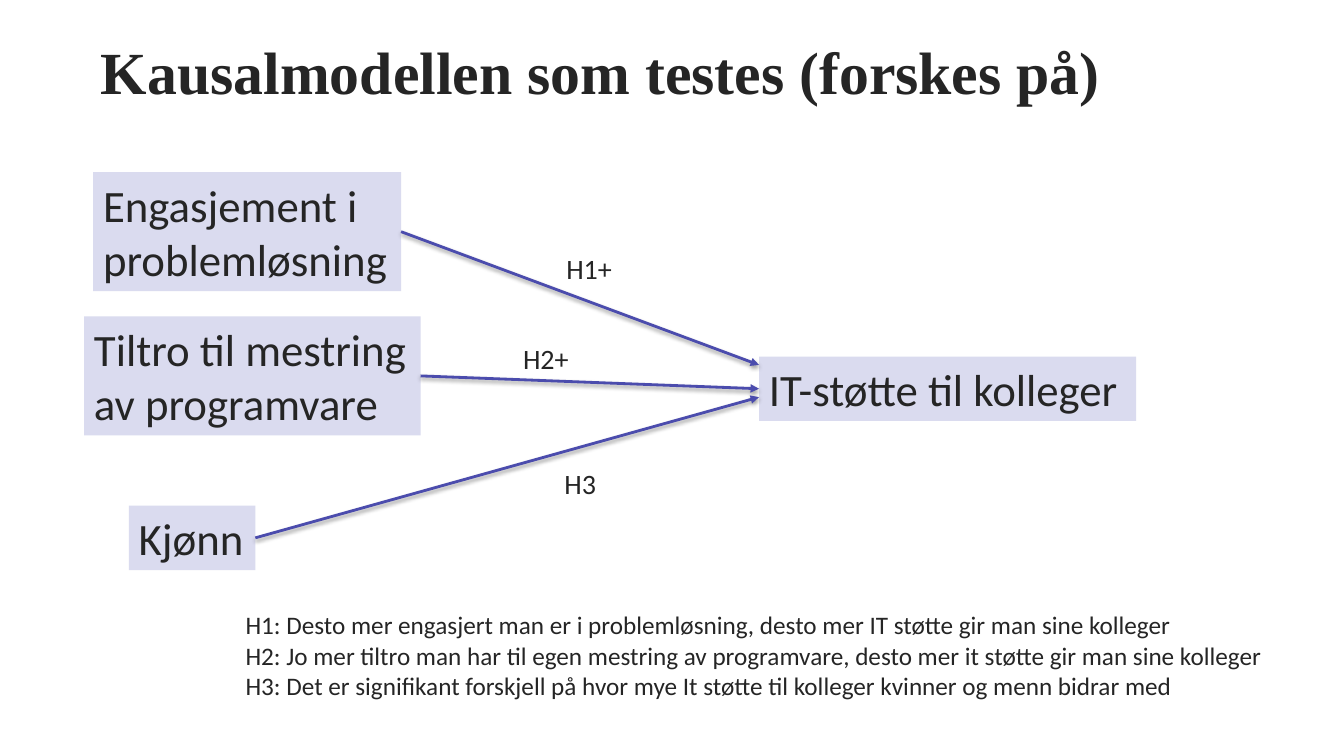
import pptx
import pptx.dml.color
import pptx.enum.shapes
import pptx.enum.text
import pptx.oxml
import pptx.oxml.ns
import pptx.util

Pt = pptx.util.Pt
COLOURS = {"box": "DADBEF", "arrow": "4B4CAD", "text": "252525", "shadow": "000000"}
LEFT_SIDE, RIGHT_SIDE = 1, 3


def colour(name):
    return pptx.dml.color.RGBColor.from_string(COLOURS[name])


def write(shape, text, size, font="Calibri", bold=False):
    frame = shape.text_frame
    frame.word_wrap = True
    frame.text = text
    for para in frame.paragraphs:
        para.alignment = pptx.enum.text.PP_ALIGN.LEFT
        for span in para.runs:
            span.font.name = font
            span.font.size = Pt(size)
            span.font.bold = bold
            span.font.color.rgb = colour("text")


def add_text(page, text, left, top, width, height, size, **style):
    box = page.shapes.add_textbox(Pt(left), Pt(top), Pt(width), Pt(height))
    write(box, text, size, **style)


def add_variable(page, text, left, top, width, height):
    box = page.shapes.add_shape(pptx.enum.shapes.MSO_SHAPE.RECTANGLE,
                                Pt(left), Pt(top), Pt(width), Pt(height))
    box.shadow.inherit = False
    box.fill.solid()
    box.fill.fore_color.rgb = colour("box")
    box.line.fill.background()
    box.text_frame.vertical_anchor = pptx.enum.text.MSO_ANCHOR.MIDDLE
    write(box, text, 32)
    return box


def add_arrow(page, cause, effect, offset):
    """Run from the cause's right side to the effect's left side, offset from its middle."""
    end_y = effect.top + effect.height // 2 + Pt(offset)
    arrow = page.shapes.add_connector(pptx.enum.shapes.MSO_CONNECTOR.STRAIGHT,
                                      cause.left + cause.width, cause.top + cause.height // 2,
                                      effect.left, end_y)
    arrow.begin_connect(cause, RIGHT_SIDE)
    if offset == 0:
        arrow.end_connect(effect, LEFT_SIDE)
    arrow.line.color.rgb = colour("arrow")
    arrow.line.width = Pt(2)

    # Arrowhead and soft shadow
    namespace = pptx.oxml.ns.nsdecls("a")
    arrow.line._get_or_add_ln().append(
        pptx.oxml.parse_xml(f'<a:tailEnd {namespace} type="triangle"/>'))
    arrow._element.spPr.append(pptx.oxml.parse_xml(
        f'<a:effectLst {namespace}><a:outerShdw blurRad="{Pt(3.1)}" dist="{Pt(1.6)}" '
        f'dir="5400000" rotWithShape="0"><a:srgbClr val="{COLOURS["shadow"]}">'
        '<a:alpha val="38000"/></a:srgbClr></a:outerShdw></a:effectLst>'))


def main():
    deck = pptx.Presentation()
    deck.slide_width, deck.slide_height = Pt(960), Pt(540)
    page = deck.slides.add_slide(deck.slide_layouts[6])

    # Title
    add_text(page, "Kausalmodellen som testes (forskes på)", 65, 21, 747, 59, 42.7,
             font="Times New Roman", bold=True)

    # Variables
    support = add_variable(page, "IT-støtte til kolleger", 542.2, 254.7, 269.3, 46)
    gender = add_variable(page, "Kjønn", 92, 361.2, 90.4, 46)
    mastery = add_variable(page, "Tiltro til mestring\nav programvare", 60, 226, 240.4, 85)
    engagement = add_variable(page, "Engasjement i\nproblemløsning", 66.5, 123, 220, 85)

    # Hypothesised effects, with their labels
    for cause, offset, label, left, top, width in (
            (engagement, -17, "H1+", 397.4, 176.4, 48),
            (mastery, 0, "H2+", 366.5, 240.5, 48),
            (gender, 6, "H3", 396, 329.8, 38)):
        add_arrow(page, cause, support, offset)
        add_text(page, label, left, top, width, 31.5, 20)

    # Hypotheses
    add_text(page, "\n".join((
        "H1: Desto mer engasjert man er i problemløsning, desto mer IT støtte gir man sine kolleger",
        "H2: Jo mer tiltro man har til egen mestring av programvare, "
        "desto mer it støtte gir man sine kolleger",
        "H3: Det er signifikant forskjell på hvor mye It støtte til kolleger "
        "kvinner og menn bidrar med")), 168.3, 432, 749.5, 72.7, 18)

    deck.save("out.pptx")


if __name__ == "__main__":
    main()
